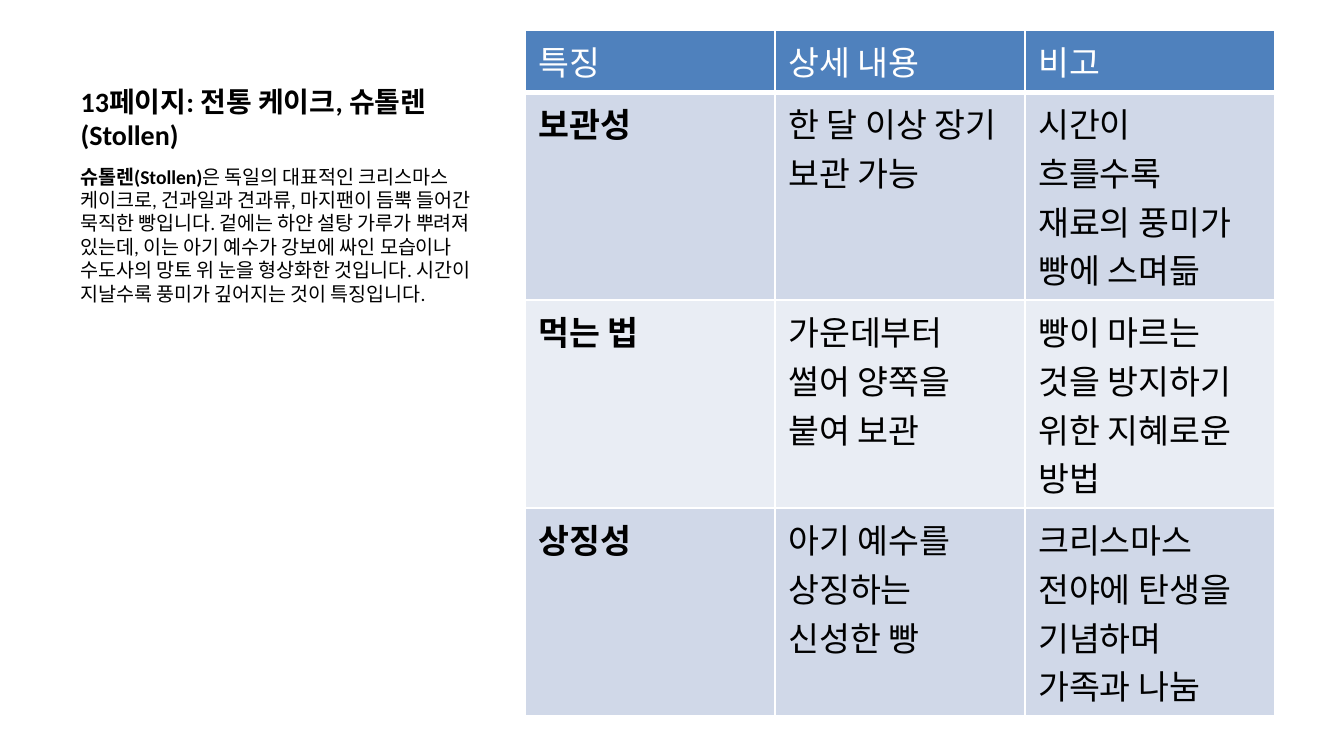
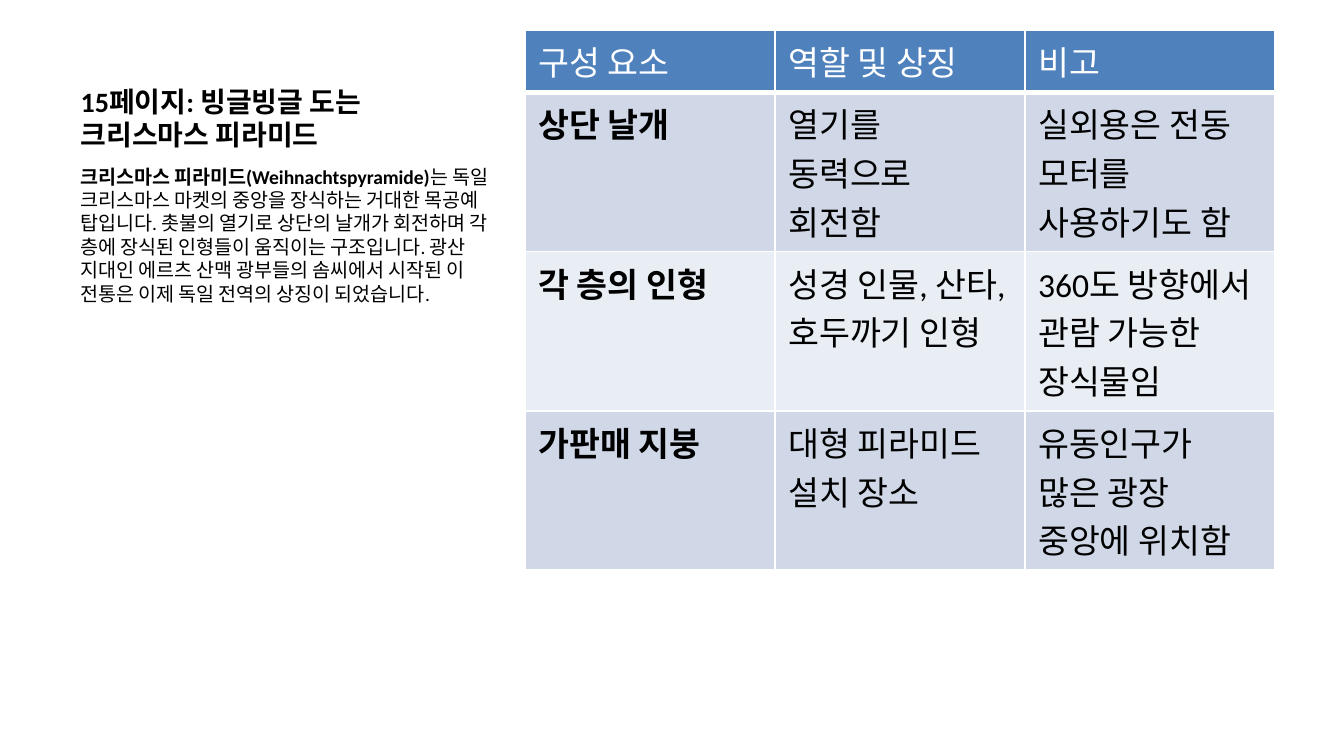
"""Build two slides, each pairing a captioned German Christmas tradition with a table."""
import dataclasses

import pptx
import pptx.dml.color
import pptx.enum.text
import pptx.oxml
import pptx.oxml.ns
import pptx.util

Pt = pptx.util.Pt


@dataclasses.dataclass(frozen=True)
class Theme:
    font: str = "Calibri"
    ink: str = "000000"
    paper: str = "FFFFFF"
    header: str = "4F81BD"
    bands: tuple = ("D0D8E8", "E9EDF4")
    title_size: float = 15
    summary_size: float = 10.5
    table_size: float = 18
    rule: float = 1
    header_rule: float = 3


THEME = Theme()
SLIDE_WIDTH, SLIDE_HEIGHT = 720, 405
TOP, HEIGHT = 16.1, 345.7
CAPTION_LEFT, CAPTION_WIDTH = 36, 236.9
TITLE_HEIGHT = 68.6
TABLE_LEFT, TABLE_WIDTH = 281.2, 401.7

TRADITIONS = [
    {
        "title": "13페이지: 전통 케이크, 슈톨렌(Stollen)",
        "term": "슈톨렌(Stollen)",
        "summary": "은 독일의 대표적인 크리스마스 케이크로, 건과일과 견과류, 마지팬이 듬뿍 들어간 "
                   "묵직한 빵입니다. 겉에는 하얀 설탕 가루가 뿌려져 있는데, 이는 아기 예수가 강보에 "
                   "싸인 모습이나 수도사의 망토 위 눈을 형상화한 것입니다. 시간이 지날수록 풍미가 "
                   "깊어지는 것이 특징입니다.",
        "rows": [
            ("특징", "상세 내용", "비고"),
            ("보관성", "한 달 이상 장기 보관 가능", "시간이 흐를수록 재료의 풍미가 빵에 스며듦"),
            ("먹는 법", "가운데부터 썰어 양쪽을 붙여 보관", "빵이 마르는 것을 방지하기 위한 지혜로운 방법"),
            ("상징성", "아기 예수를 상징하는 신성한 빵", "크리스마스 전야에 탄생을 기념하며 가족과 나눔"),
        ],
    },
    {
        "title": "15페이지: 빙글빙글 도는 크리스마스 피라미드",
        "term": "크리스마스 피라미드(Weihnachtspyramide)",
        "summary": "는 독일 크리스마스 마켓의 중앙을 장식하는 거대한 목공예 탑입니다. 촛불의 열기로 "
                   "상단의 날개가 회전하며 각 층에 장식된 인형들이 움직이는 구조입니다. 광산 지대인 "
                   "에르츠 산맥 광부들의 솜씨에서 시작된 이 전통은 이제 독일 전역의 상징이 되었습니다.",
        "rows": [
            ("구성 요소", "역할 및 상징", "비고"),
            ("상단 날개", "열기를 동력으로 회전함", "실외용은 전동 모터를 사용하기도 함"),
            ("각 층의 인형", "성경 인물, 산타, 호두까기 인형", "360도 방향에서 관람 가능한 장식물임"),
            ("가판매 지붕", "대형 피라미드 설치 장소", "유동인구가 많은 광장 중앙에 위치함"),
        ],
    },
]


def rgb(value):
    return pptx.dml.color.RGBColor.from_string(value)


def write(paragraph, text, *, size, color=THEME.ink, bold=False, before=0):
    paragraph.alignment = pptx.enum.text.PP_ALIGN.LEFT
    paragraph.space_before = Pt(before)
    run = paragraph.add_run()
    run.text = text
    run.font.name = THEME.font
    run.font.size = Pt(size)
    run.font.bold = bold
    run.font.color.rgb = rgb(color)


def add_border(cell, side, color, width):
    properties = cell._tc.get_or_add_tcPr()
    properties.append(pptx.oxml.parse_xml(
        f'<a:{side} {pptx.oxml.ns.nsdecls("a")} w="{Pt(width)}">'
        f'<a:solidFill><a:srgbClr val="{color}"/></a:solidFill></a:{side}>'))


class Deck:
    def __init__(self, theme):
        self.theme = theme
        self.presentation = pptx.Presentation()
        self.presentation.slide_width = Pt(SLIDE_WIDTH)
        self.presentation.slide_height = Pt(SLIDE_HEIGHT)
        self.slide = None

    def add_slide(self, title):
        layout = self.presentation.slide_layouts.get_by_name("Title Only")
        self.slide = self.presentation.slides.add_slide(layout)
        heading = self.slide.shapes.title
        heading.left, heading.top = Pt(CAPTION_LEFT), Pt(TOP)
        heading.width, heading.height = Pt(CAPTION_WIDTH), Pt(TITLE_HEIGHT)
        heading.text_frame.vertical_anchor = pptx.enum.text.MSO_ANCHOR.BOTTOM
        write(heading.text_frame.paragraphs[0], title,
              size=self.theme.title_size, bold=True)

    def add_summary(self, term, summary):
        frame = self.slide.shapes.add_textbox(
            Pt(CAPTION_LEFT), Pt(TOP + TITLE_HEIGHT),
            Pt(CAPTION_WIDTH), Pt(HEIGHT - TITLE_HEIGHT)).text_frame
        frame.word_wrap = True
        frame.auto_size = pptx.enum.text.MSO_AUTO_SIZE.TEXT_TO_FIT_SHAPE
        size = self.theme.summary_size
        for text, bold in ((term, True), (summary, False)):
            write(frame.paragraphs[0], text, size=size, bold=bold, before=size * 0.2)

    def add_table(self, rows):
        frame = self.slide.shapes.add_table(
            len(rows), len(rows[0]), Pt(TABLE_LEFT), Pt(TOP), Pt(TABLE_WIDTH), Pt(HEIGHT))
        for row in frame.table.rows:
            row.height = Pt(0)
        frame.height = Pt(HEIGHT)
        for row_index, entries in enumerate(rows):
            for column_index, entry in enumerate(entries):
                cell = frame.table.cell(row_index, column_index)
                if row_index == 0:
                    self.format_cell(cell, entry, self.theme.header, color=self.theme.paper)
                else:
                    band = self.theme.bands[(row_index - 1) % 2]
                    self.format_cell(cell, entry, band, bold=column_index == 0)

    def format_cell(self, cell, entry, fill, color=THEME.ink, bold=False):
        if fill == self.theme.header:
            for side in ("lnL", "lnR", "lnT", "lnB"):
                width = self.theme.header_rule if side == "lnB" else self.theme.rule
                add_border(cell, side, self.theme.paper, width)
        cell.fill.solid()
        cell.fill.fore_color.rgb = rgb(fill)
        write(cell.text_frame.paragraphs[0], entry,
              size=self.theme.table_size, color=color, bold=bold)


def main():
    deck = Deck(THEME)
    for tradition in TRADITIONS:
        deck.add_slide(tradition["title"])
        deck.add_summary(tradition["term"], tradition["summary"])
        deck.add_table(tradition["rows"])
    deck.presentation.save("out.pptx")


if __name__ == "__main__":
    main()
